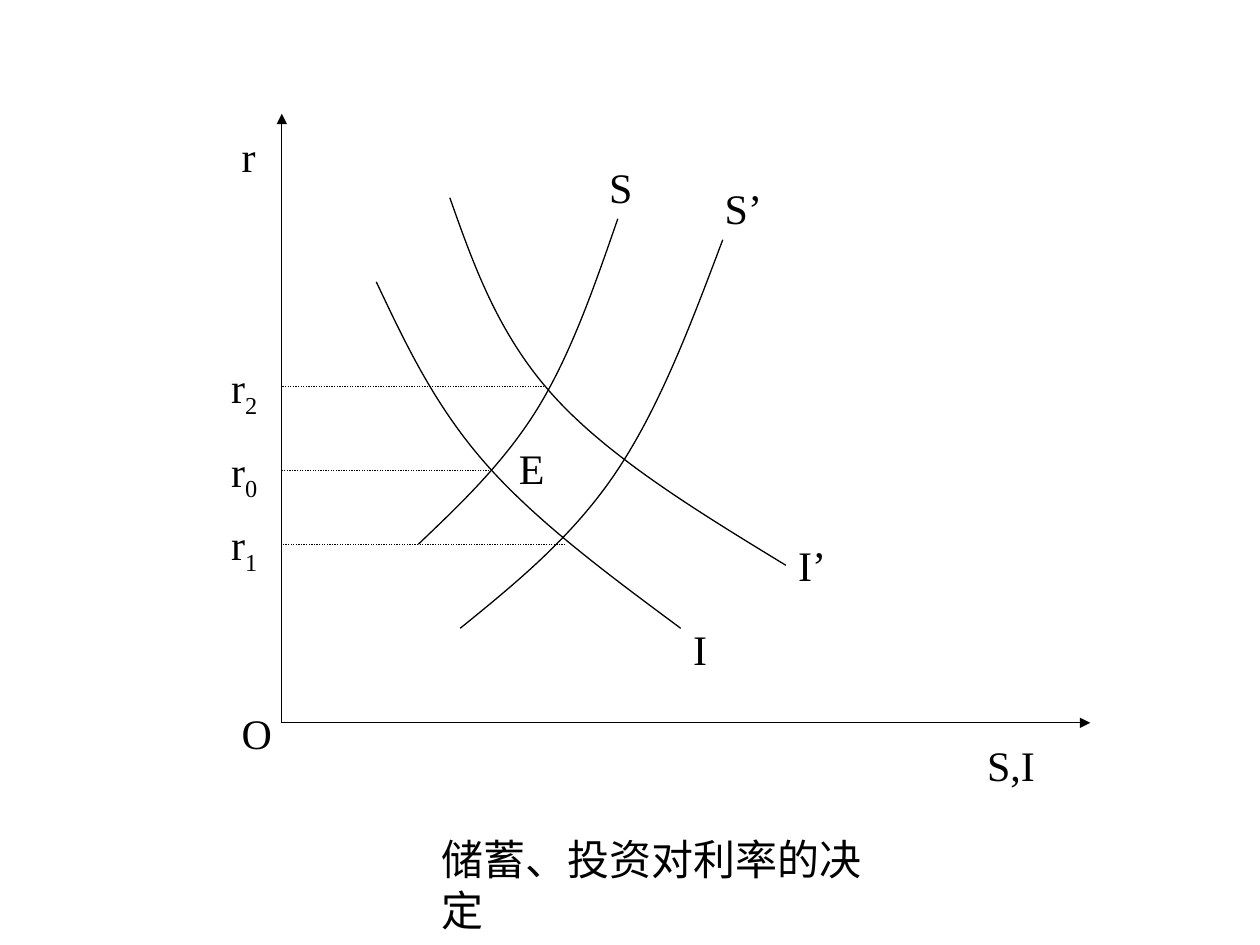
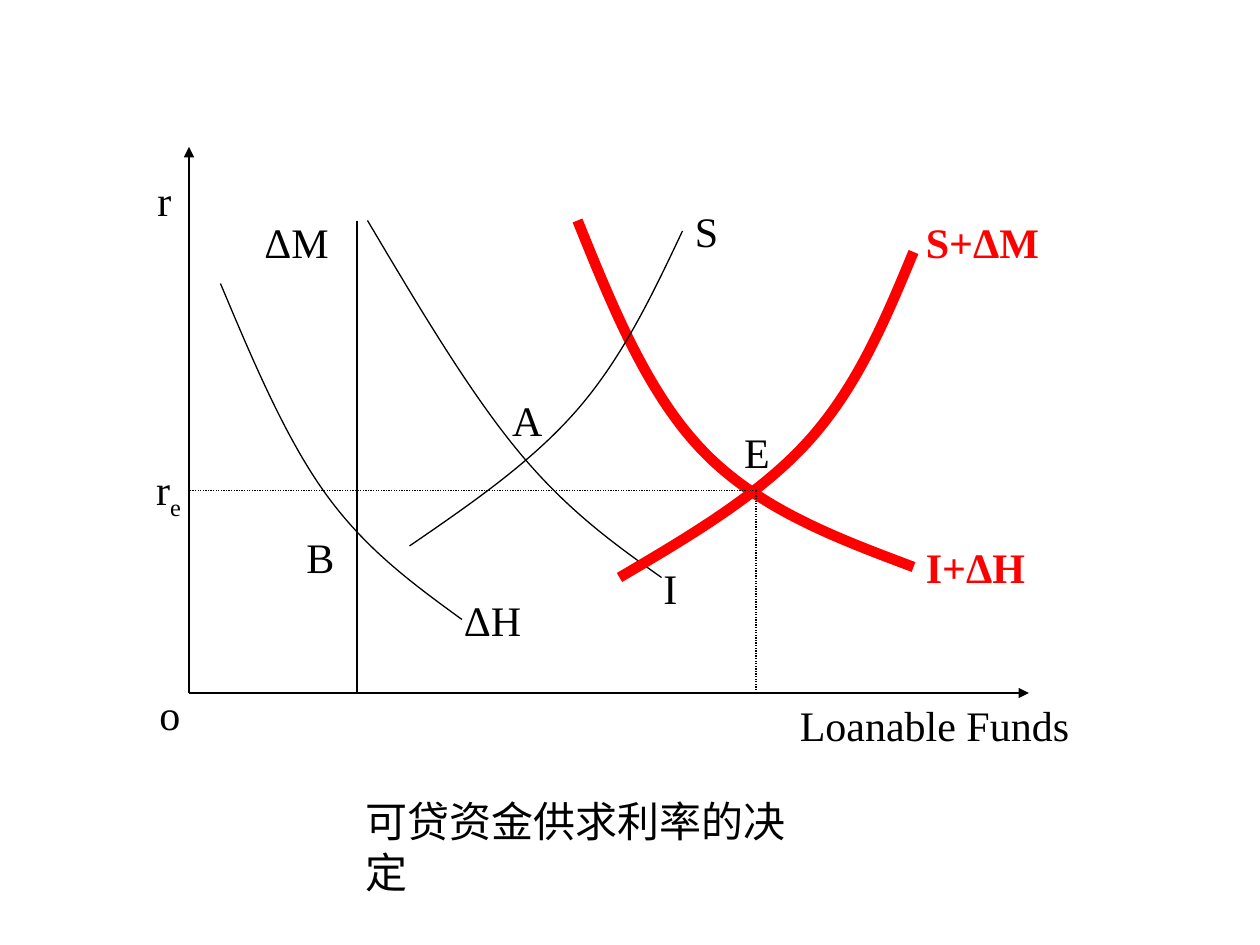
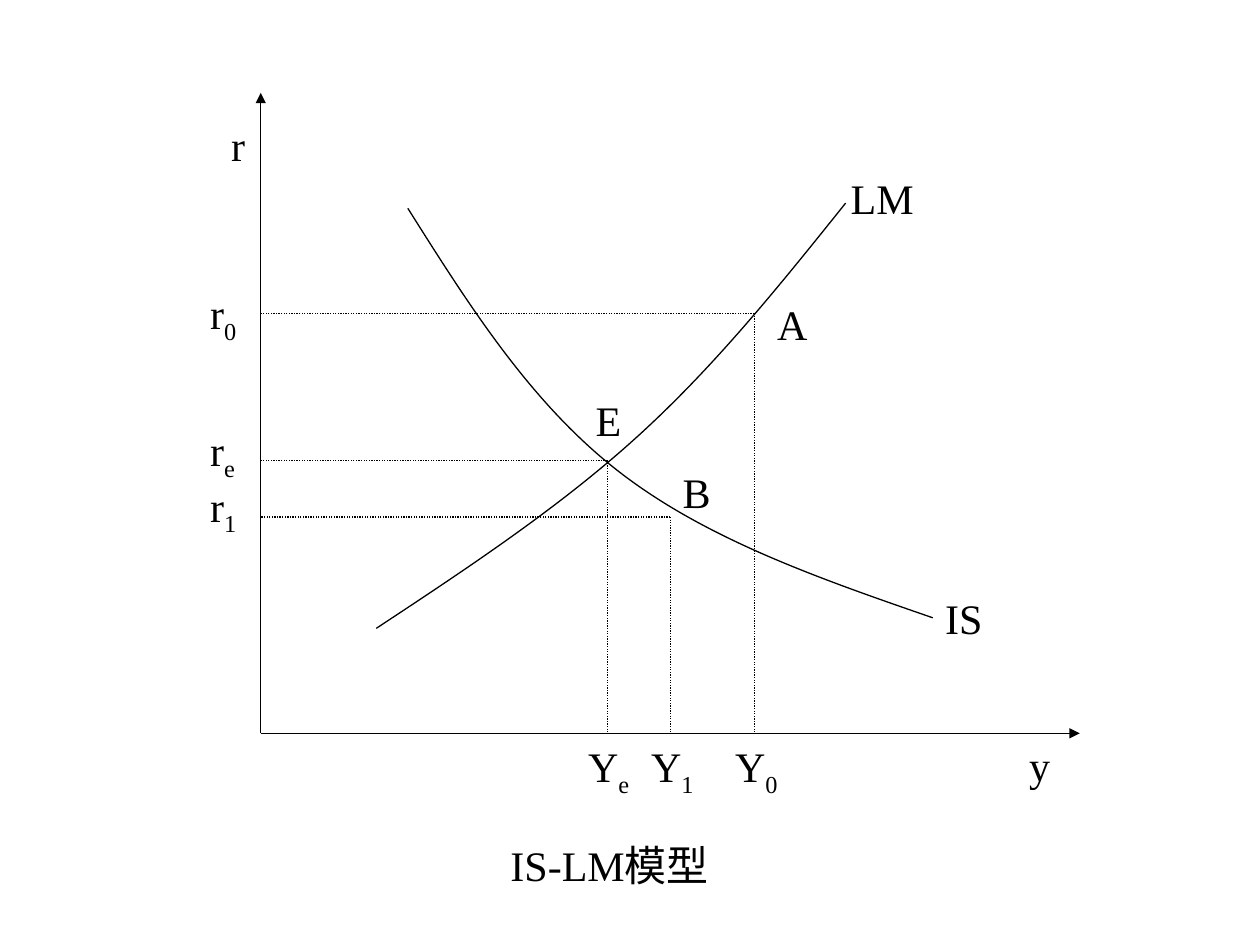
from lxml import etree
from pptx import Presentation
from pptx import util as u
from pptx.dml.color import RGBColor
from pptx.enum import dml, shapes, text
from pptx.oxml import ns

COLORS = {"ink": "000000", "accent": "FF0000"}
COLS, ROWS = 120, 90
SHIFT = 0.84  # columns and rows by which some diagrams are moved


def set_all(target, values):
    for name, value in values.items():
        setattr(target, name, value)


class Diagram:
    """Economic diagram placed on a grid of COLS by ROWS cells."""

    FONT = {"name": "Times New Roman", "size": u.Pt(24)}
    FRAME = {"margin_left": u.Inches(0.1), "margin_right": u.Inches(0.1),
             "margin_top": u.Inches(0.05), "margin_bottom": u.Inches(0.05),
             "auto_size": text.MSO_AUTO_SIZE.SHAPE_TO_FIT_TEXT}

    def __init__(self, prs, shift=0):
        self.s = prs.slides.add_slide(prs.slide_layouts[6])
        self.cell_w = prs.slide_width / COLS
        self.cell_h = prs.slide_height / ROWS
        self.shift = shift

    def at(self, col, row):
        return (round((col + self.shift) * self.cell_w),
                round((row + self.shift) * self.cell_h))

    def stroke(self, sp, color="ink", width=0.75):
        sp.line.color.rgb = RGBColor.from_string(COLORS[color])
        sp.line.width = u.Pt(width)

    def line(self, start, end, dotted=False, arrow=False):
        sp = self.s.shapes.add_connector(
            shapes.MSO_CONNECTOR.STRAIGHT, *self.at(*start), *self.at(*end))
        self.stroke(sp)
        if dotted:
            sp.line.dash_style = dml.MSO_LINE.ROUND_DOT
        if arrow:
            etree.SubElement(sp.line._ln, ns.qn("a:tailEnd"), type="triangle")
        etree.SubElement(sp._element.spPr, ns.qn("a:effectLst"))

    def axes(self, origin, top, right):
        self.origin = origin
        self.line(origin, (origin[0], top), arrow=True)
        self.line(origin, (right, origin[1]), arrow=True)

    def guide(self, col, row, down=True):
        """Dotted lines from a point to the axes."""
        self.line((col, row), (self.origin[0], row), dotted=True)
        if down:
            self.line((col, row), (col, self.origin[1]), dotted=True)

    def curve(self, start, mid, end, **stroke):
        """Smooth curve whose tangent at mid is parallel to the chord."""
        before = [m - (e - b) / 6 for b, m, e in zip(start, mid, end)]
        after = [m + (e - b) / 6 for b, m, e in zip(start, mid, end)]
        lead = [(a + b) / 2 for a, b in zip(start, before)]
        trail = [(a + b) / 2 for a, b in zip(after, end)]
        points = [self.at(*p) for p in (lead, before, mid, after, trail, end)]
        fb = self.s.shapes.build_freeform(*self.at(*start))
        fb.add_line_segments(points, close=False)
        sp = fb.convert_to_shape()
        # Each three line segments become one Bezier segment
        path = sp._element.find(".//" + ns.qn("a:path"))
        for i, seg in enumerate(path.findall(ns.qn("a:lnTo"))):
            if i % 3 == 0:
                bezier = etree.SubElement(path, ns.qn("a:cubicBezTo"))
            bezier.append(seg[0])
            path.remove(seg)
        sp.fill.background()
        sp.shadow.inherit = False
        self.stroke(sp, **stroke)

    def label(self, words, col, row, width=7, color="ink", bold=None, wrap=True):
        """Text box; what follows an underscore is set as a subscript."""
        base, _, sub = words.partition("_")
        size = round(width * self.cell_w), round((6.7 if sub else 6) * self.cell_h)
        tf = self.s.shapes.add_textbox(*self.at(col, row), *size).text_frame
        set_all(tf, {**self.FRAME, "word_wrap": wrap})
        p = tf.paragraphs[0]
        for part in filter(None, (base, sub)):
            r = p.add_run()
            r.text = part
            set_all(r.font, {**self.FONT, "bold": bold})
            r.font.color.rgb = RGBColor.from_string(COLORS[color])
        if sub:
            r._r.get_or_add_rPr().set("baseline", "-25000")

    def labels(self, *rows):
        for row in rows:
            self.label(*row)

    def caption(self, words, col, row, width):
        self.label(words, col, row, width, wrap=False)


def saving_investment(prs):
    d = Diagram(prs, SHIFT)
    d.axes((26, 68), top=10, right=103)
    # Saving and investment, before and after the shift
    d.curve((39, 51), (50.4, 38), (58, 20))
    d.curve((35, 26), (45.4, 43.3), (64, 59))
    d.curve((43, 59), (57.8, 44.2), (68, 22))
    d.curve((42, 18), (52, 37), (74, 53))
    for col, row in ((46, 44), (53, 51), (51, 36)):
        d.guide(col, row, down=False)
    d.labels(("O", 21, 66, 8), ("r", 21, 11, 5), ("S,I", 92, 69, 11),
             ("S", 56, 14), ("I", 64, 58, 8), ("E", 47.4, 40.7),
             ("S’", 67, 16, 10), ("I’", 74, 50),
             ("r_0", 20, 41), ("r_1", 20, 48, 6), ("r_2", 20, 33, 8))
    d.caption("储蓄、投资对利率的决定", 40, 78, 46.3)


def loanable_funds(prs):
    d = Diagram(prs)
    total = {"color": "accent", "width": 6}
    # Single components, then the totals in heavy lines
    d.curve((21, 27), (31, 47), (44, 59))
    d.curve((35, 21), (49.3, 42.9), (63, 55))
    d.curve((55, 21), (67, 43), (87, 54), **total)
    d.curve((65, 22), (55, 39), (39, 52))
    d.curve((87, 24), (77, 42), (59, 55), **total)
    d.line((34, 21), (34, 66))
    d.axes((18, 66), top=14, right=98)
    d.guide(72, 46.7)
    d.labels(("o", 14, 65, 5), ("r", 13.8, 16, 5),
             ("Loanable Funds", 75, 66, 31),
             ("ΔM", 24, 20, 11), ("ΔH", 43, 56, 11),
             ("I+ΔH", 87, 51, 14, "accent", True),
             ("S+ΔM", 87, 20, 16, "accent", True),
             ("S", 65, 19, 6), ("E", 69.7, 40, 6), ("A", 47.6, 37, 6),
             ("B", 28, 50, 6), ("r_e", 13.7, 43.6, 5), ("I", 62, 53, 6))
    d.caption("可贷资金供求利率的决定", 33.6, 75.2, 46.3)


def is_lm(prs):
    d = Diagram(prs, SHIFT)
    d.axes((24, 69), top=8, right=102)
    # LM and IS
    d.curve((79.7, 18.5), (59.8, 40.8), (35, 59))
    d.curve((38, 19), (58, 44), (88, 58))
    for point in ((71, 29), (57, 43), (63, 48.4)):
        d.guide(*point)
    d.labels(("r", 20, 10, 5), ("y", 96, 69, 9),
             ("LM", 79, 15, 12), ("IS", 88, 55),
             ("A", 72, 27), ("B", 63, 43), ("E", 54.7, 36.1),
             ("Y_e", 54, 69.1), ("Y_1", 60, 69.1), ("Y_0", 68, 69.1),
             ("r_0", 18, 26), ("r_e", 18, 39), ("r_1", 18, 44.3))
    d.caption("IS-LM模型", 46.6, 78.5, 22.2)


def main():
    prs = Presentation()
    set_all(prs, {"slide_width": u.Inches(10), "slide_height": u.Inches(7.5)})
    for build in (saving_investment, loanable_funds, is_lm):
        build(prs)
    prs.save("out.pptx")


if __name__ == "__main__":
    main()
